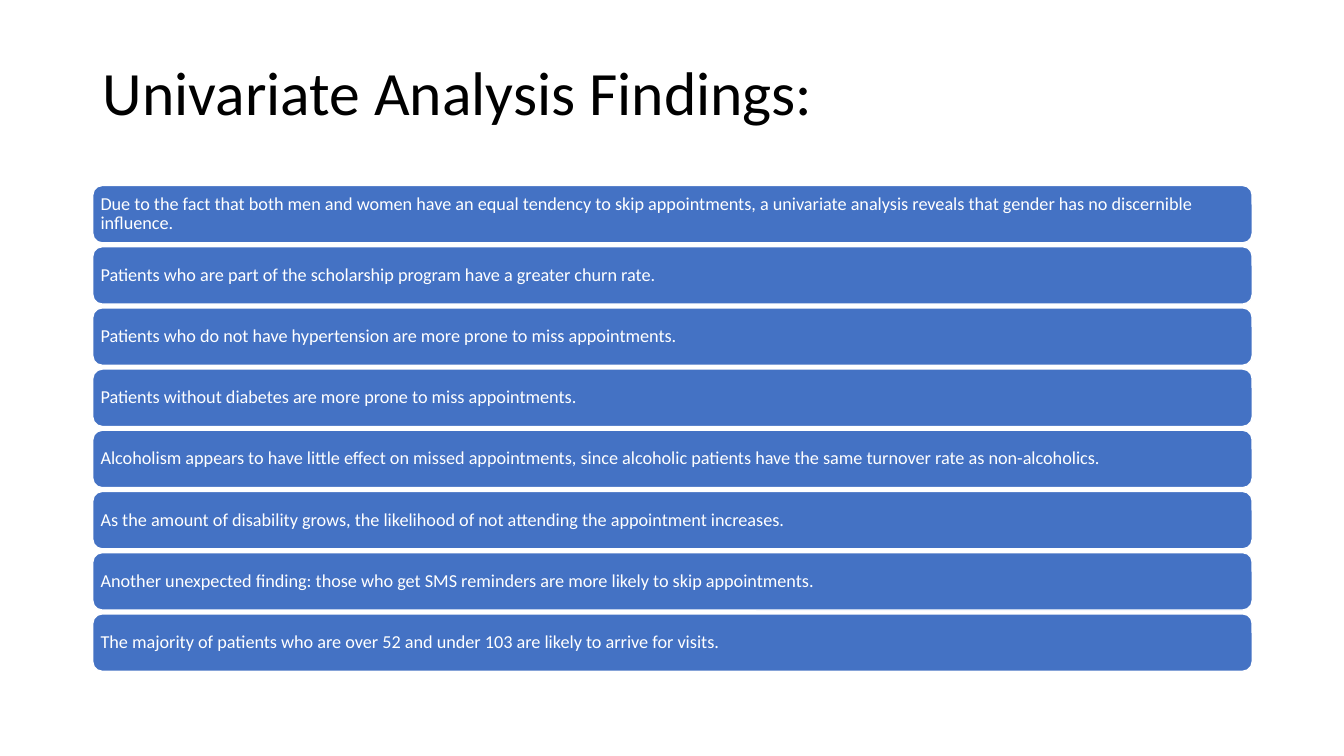
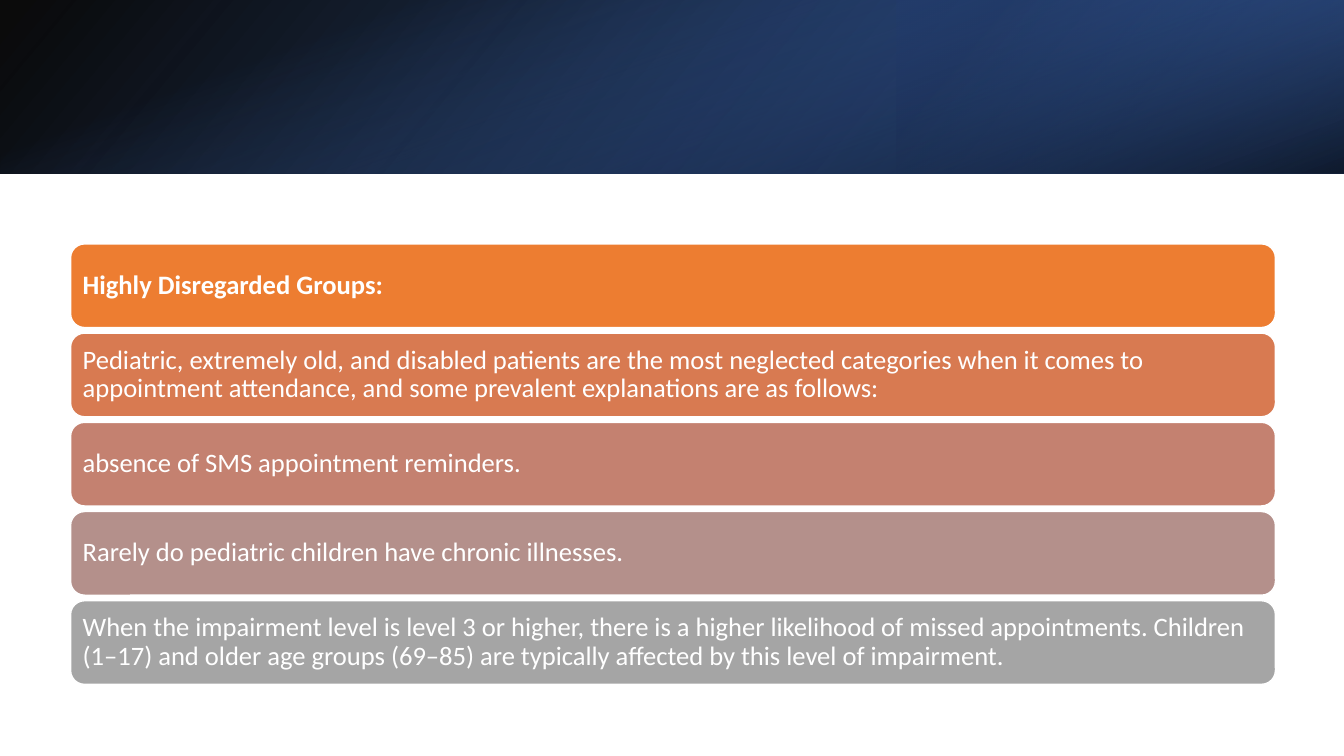
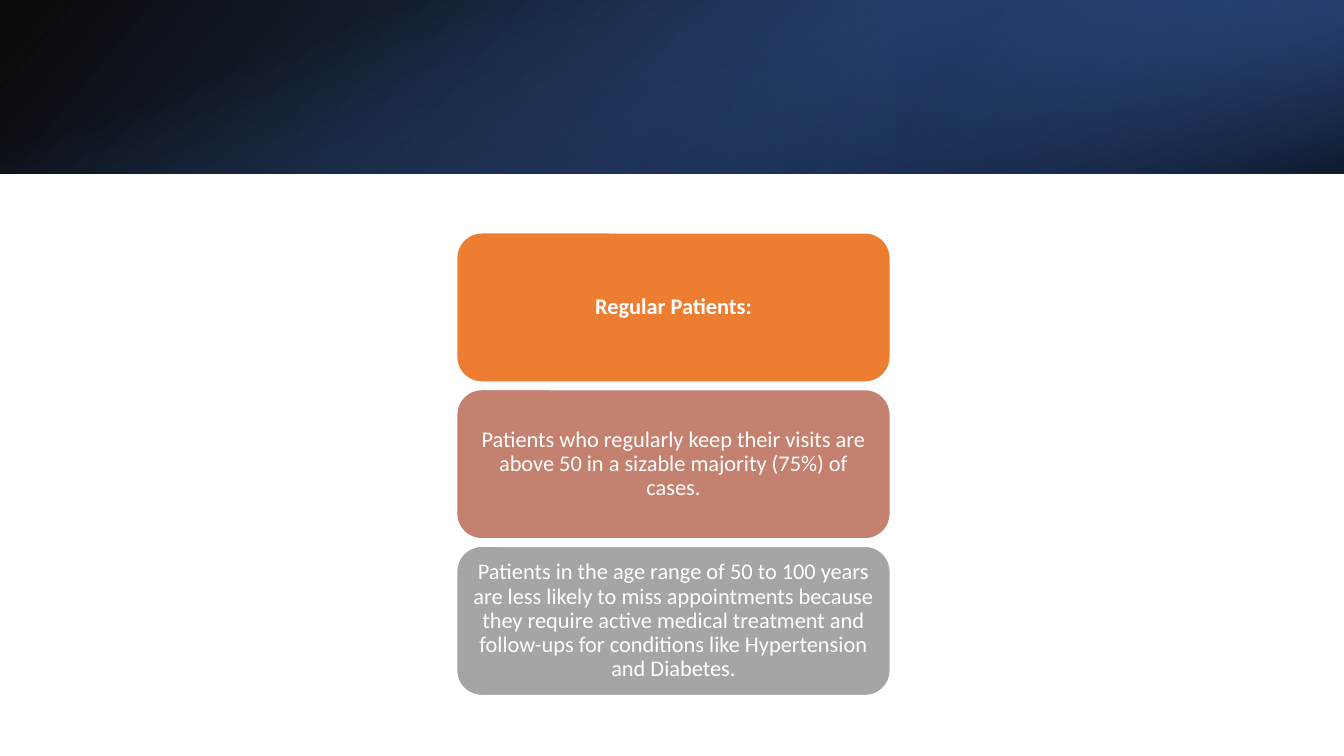
from dataclasses import dataclass

import pptx
import pptx.dml.color
import pptx.enum.shapes
import pptx.enum.text
import pptx.oxml
import pptx.oxml.ns
import pptx.presentation
import pptx.slide
import pptx.text.text
import pptx.util

Inches = pptx.util.Inches
RGB = pptx.dml.color.RGBColor
Kind = pptx.enum.shapes.MSO_SHAPE
Align = pptx.enum.text.PP_ALIGN
Anchor = pptx.enum.text.MSO_ANCHOR

BLACK = RGB(0x00, 0x00, 0x00)
WHITE = RGB(0xFF, 0xFF, 0xFF)
BLUE = RGB(0x44, 0x72, 0xC4)
NAVY = RGB(0x20, 0x38, 0x64)
ROYAL = RGB(0x2F, 0x55, 0x97)
ORANGE = RGB(0xED, 0x7D, 0x31)
RUST = RGB(0xD8, 0x7A, 0x51)
ROSE = RGB(0xC4, 0x81, 0x70)
MAUVE = RGB(0xB4, 0x90, 0x8B)
GRAY = RGB(0xA5, 0xA5, 0xA5)

FONT = "Calibri"
WIDE, HIGH = 13.33, 7.5
BAND = 1.72


@dataclass(frozen=True)
class Stop:
    place: float
    color: RGB
    alpha: int = 100


@dataclass(frozen=True)
class Layer:
    left: float
    top: float
    width: float
    height: float
    turn: int
    flip: bool
    angle: int
    stops: tuple[Stop, Stop]


@dataclass(frozen=True)
class Card:
    text: str
    color: RGB = BLUE
    bold: bool = False


@dataclass(frozen=True)
class Stack:
    left: float
    top: float
    width: float
    height: float
    end: float
    size: int
    inset: tuple[float, float]
    align: Align
    cards: tuple[Card, ...]


LAYERS = (
    Layer(0, 0, WIDE, BAND, 0, True, 140,
          (Stop(0, BLACK, 96), Stop(1, ROYAL))),
    Layer(8.89, 0, 4.44, BAND, 180, True, 320,
          (Stop(0.19, NAVY, 68), Stop(1, BLUE, 79))),
    Layer((WIDE - BAND) / 2, (BAND - WIDE) / 2, BAND, WIDE, 90, False, 340,
          (Stop(0.23, BLUE, 0), Stop(0.99, BLACK, 74))),
)

FACTS = Stack(0.92, 1.84, 11.5, 0.57, 6.66, 13, (0.05, 0.05), Align.LEFT, (
    Card("Due to the fact that both men and women have an equal tendency to skip "
         "appointments, a univariate analysis reveals that gender has no "
         "discernible influence."),
    Card("Patients who are part of the scholarship program have a greater churn rate."),
    Card("Patients who do not have hypertension are more prone to miss appointments."),
    Card("Patients without diabetes are more prone to miss appointments."),
    Card("Alcoholism appears to have little effect on missed appointments, since "
         "alcoholic patients have the same turnover rate as non-alcoholics."),
    Card("As the amount of disability grows, the likelihood of not attending the "
         "appointment increases."),
    Card("Another unexpected finding: those who get SMS reminders are more likely "
         "to skip appointments."),
    Card("The majority of patients who are over 52 and under 103 are likely to "
         "arrive for visits."),
))

GROUPS = Stack(0.7, 2.42, 11.95, 0.83, 6.79, 19, (0.08, 0.08), Align.LEFT, (
    Card("Highly Disregarded Groups:", ORANGE, True),
    Card("Pediatric, extremely old, and disabled patients are the most neglected "
         "categories when it comes to appointment attendance, and some prevalent "
         "explanations are as follows:", RUST),
    Card("absence of SMS appointment reminders.", ROSE),
    Card("Rarely do pediatric children have chronic illnesses.", MAUVE),
    Card("When the impairment level is level 3 or higher, there is a higher "
         "likelihood of missed appointments. Children (1–17) and older age groups "
         "(69–85) are typically affected by this level of impairment.", GRAY),
))

LOYAL = Stack(4.53, 2.31, 4.3, 1.48, 6.9, 16, (0.07, 0.03), Align.CENTER, (
    Card("Regular Patients:", ORANGE, True),
    Card("Patients who regularly keep their visits are above 50 in a sizable "
         "majority (75%) of cases.", ROSE),
    Card("Patients in the age range of 50 to 100 years are less likely to miss "
         "appointments because they require active medical treatment and "
         "follow-ups for conditions like Hypertension and Diabetes.", GRAY),
))


def write(frame: pptx.text.text.TextFrame, text: str, size: int, color: RGB,
          align: Align, bold: bool = False) -> None:
    frame.word_wrap = True
    frame.auto_size = pptx.enum.text.MSO_AUTO_SIZE.NONE
    frame.vertical_anchor = Anchor.MIDDLE
    frame.text = text
    line = frame.paragraphs[0]
    line.alignment = align
    line.line_spacing = 0.9
    line.font.name = FONT
    line.font.size = pptx.util.Pt(size)
    line.font.bold = bold
    line.font.color.rgb = color


def add_title(slide: pptx.slide.Slide, text: str) -> None:
    title = slide.shapes.title
    title.left, title.top = Inches(0.92), Inches(0.4)
    title.width, title.height = Inches(11.5), Inches(1.1)
    write(title.text_frame, text, 44, BLACK, Align.LEFT)


def add_layer(slide: pptx.slide.Slide, layer: Layer) -> None:
    shape = slide.shapes.add_shape(
        Kind.RECTANGLE, Inches(layer.left), Inches(layer.top),
        Inches(layer.width), Inches(layer.height))
    shape.shadow.inherit = False
    shape.line.fill.background()
    shape.rotation = layer.turn
    if layer.flip:
        shape.element.spPr.xfrm.set("flipH", "1")
    shape.fill.gradient()
    shape.fill.gradient_angle = 360 - layer.angle
    for point, stop in zip(shape.fill.gradient_stops, layer.stops):
        point.position = stop.place
        point.color.rgb = stop.color
    tints = shape.element.spPr.iter(pptx.oxml.ns.qn("a:srgbClr"))
    for tint, stop in zip(tints, layer.stops):
        tint.append(pptx.oxml.parse_xml(
            f'<a:alpha {pptx.oxml.ns.nsdecls("a")} val="{stop.alpha * 1000}"/>'))


def add_band(slide: pptx.slide.Slide) -> None:
    for layer in LAYERS:
        add_layer(slide, layer)


def add_stack(slide: pptx.slide.Slide, stack: Stack) -> None:
    step = (stack.end - stack.height - stack.top) / (len(stack.cards) - 1)
    for row, card in enumerate(stack.cards):
        shape = slide.shapes.add_shape(
            Kind.ROUNDED_RECTANGLE, Inches(stack.left),
            Inches(stack.top + row * step),
            Inches(stack.width), Inches(stack.height))
        shape.shadow.inherit = False
        shape.fill.solid()
        shape.fill.fore_color.rgb = card.color
        shape.line.color.rgb = WHITE
        shape.line.width = pptx.util.Pt(1)
        frame = shape.text_frame
        side, edge = stack.inset
        frame.margin_left = frame.margin_right = Inches(side)
        frame.margin_top = frame.margin_bottom = Inches(edge)
        write(frame, card.text, stack.size, WHITE, stack.align, card.bold)


def main() -> None:
    deck = pptx.Presentation()
    deck.slide_width, deck.slide_height = Inches(WIDE), Inches(HIGH)
    titled, blank = deck.slide_layouts[5], deck.slide_layouts[6]

    slide = deck.slides.add_slide(titled)
    add_title(slide, "Univariate Analysis Findings:")
    add_stack(slide, FACTS)

    for stack in (GROUPS, LOYAL):
        slide = deck.slides.add_slide(blank)
        add_band(slide)
        add_stack(slide, stack)

    deck.save("out.pptx")


if __name__ == "__main__":
    main()
